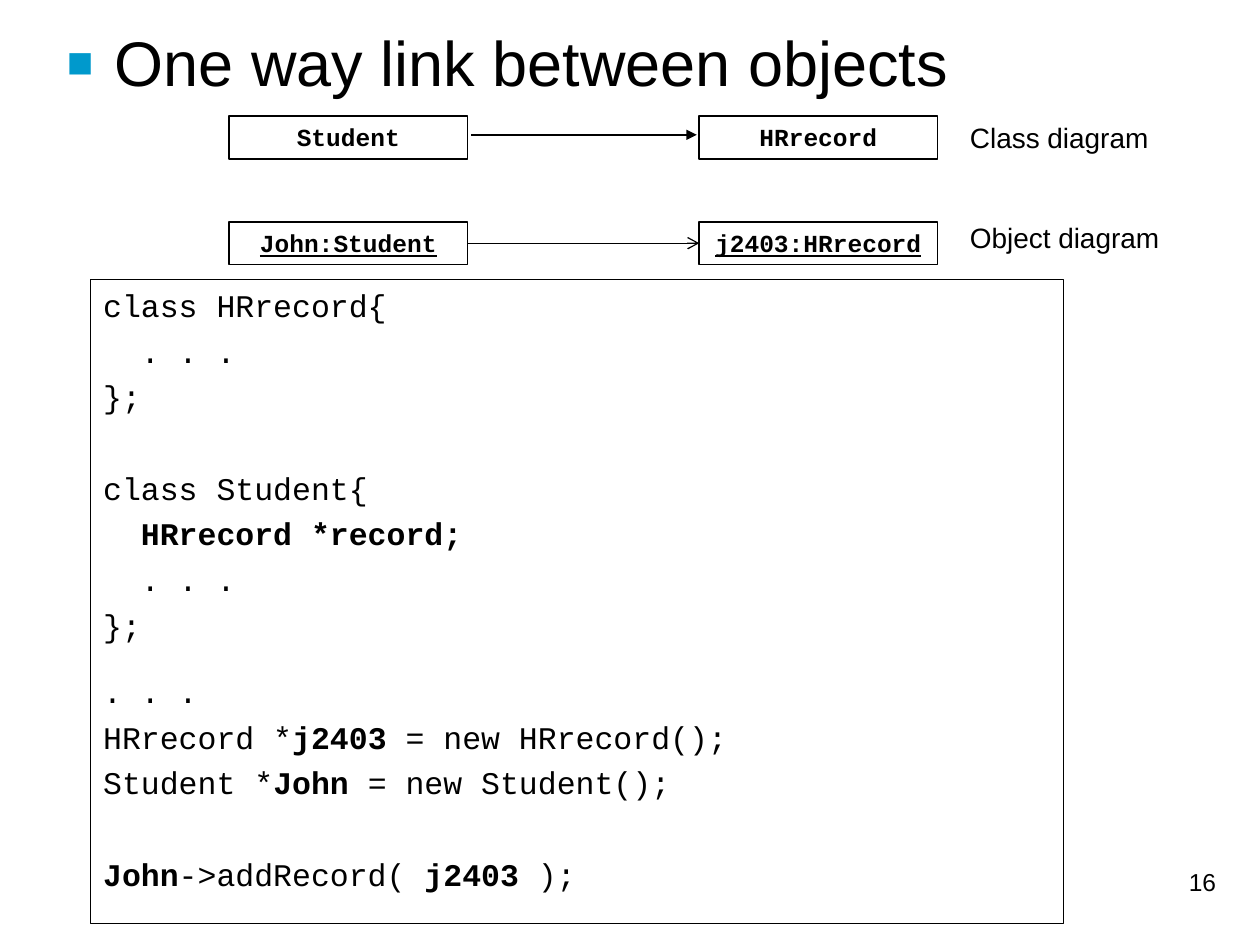
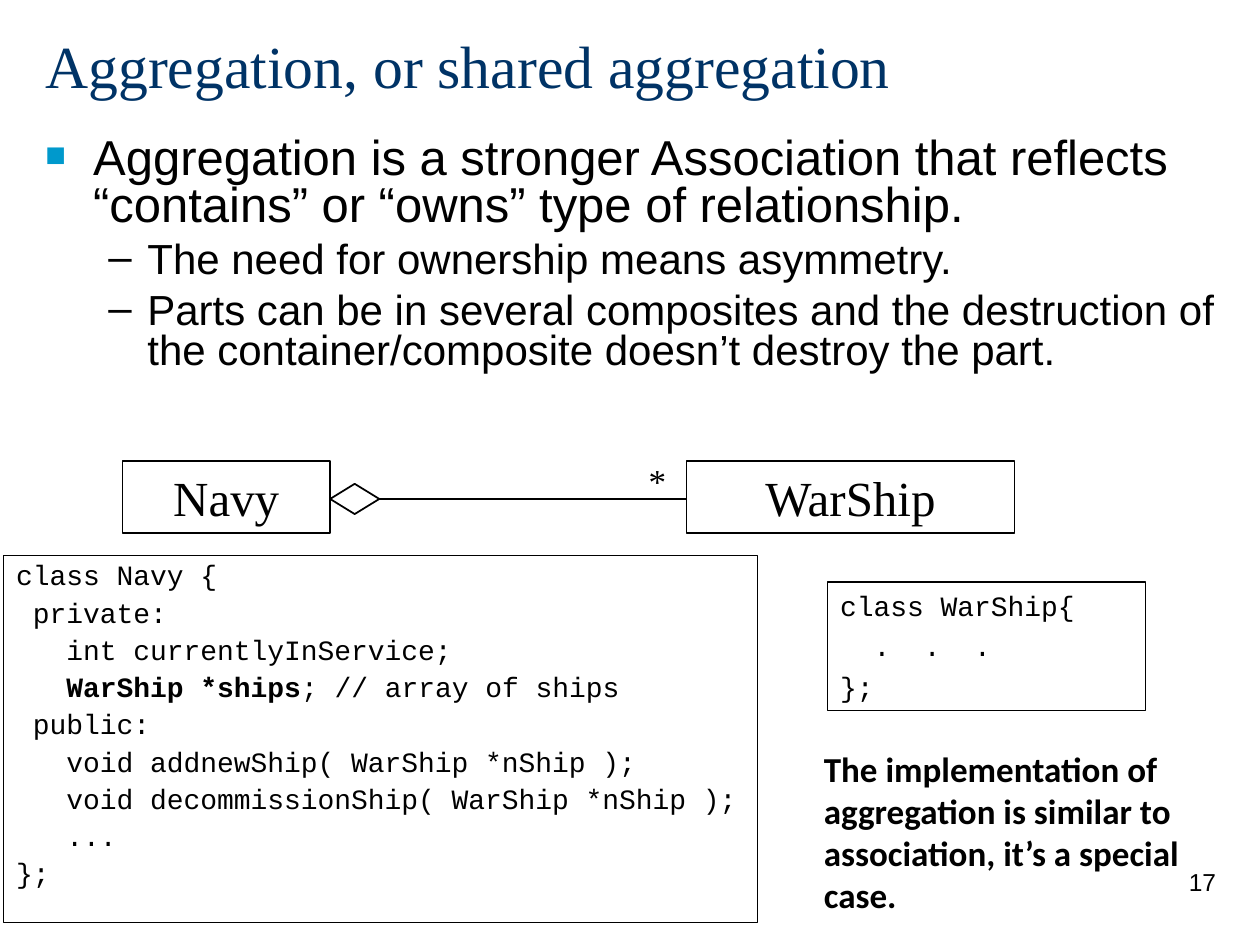
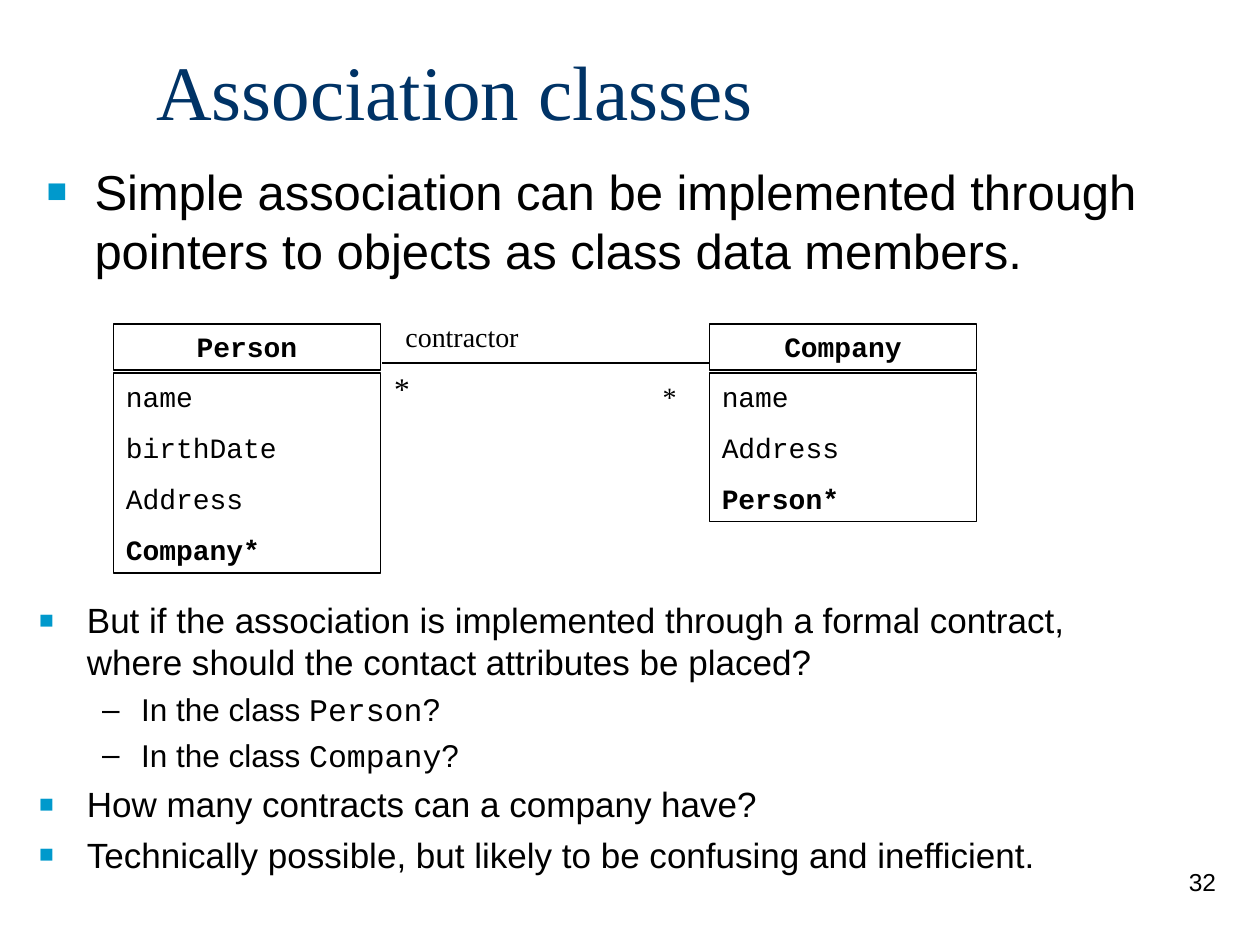
"""Build three slides on links, aggregation and association classes."""
from lxml import etree
from pptx import Presentation
from pptx.dml.color import RGBColor
from pptx.enum.shapes import MSO_CONNECTOR, MSO_SHAPE
from pptx.enum.text import MSO_ANCHOR, MSO_AUTO_SIZE, PP_ALIGN
from pptx.oxml.ns import qn
from pptx.util import Inches, Pt

BLACK, WHITE, NAVY, CYAN = "000000", "FFFFFF", "003366", "0099CC"
SANS, SERIF, MONO, NOTE = "Arial", "Times New Roman", "Courier New", "Calibri"
BULLETS = [
    {"char": "■", "color": CYAN, "percent": 70, "margin": 0.38, "indent": -0.38},
    {"char": "–", "color": BLACK, "percent": 100, "margin": 0.81, "indent": -0.31},
]
TITLE_ONLY_BODY, TWO_BODIES = 1, 3


def color(code):
    """Turn a hex string into a colour."""
    return RGBColor.from_string(code)


def cells(*counts):
    """Turn counts of grid cells, 100 columns by 75 rows, into lengths."""
    return [Inches(round(count / 10, 2)) for count in counts]


def apply(target, values):
    """Set every attribute named in a dict."""
    for name, value in values.items():
        setattr(target, name, value)


def add_element(parent, tag, **attributes):
    """Append a drawing element with attributes and return it."""
    element = etree.SubElement(parent, qn(tag))
    for name, value in attributes.items():
        element.set(name, str(value))
    return element


class Deck:
    """Hold the shared style and the slide being built."""

    def __init__(self):
        """Start an empty 4:3 presentation."""
        self.presentation = Presentation()
        self.presentation.slide_width, self.presentation.slide_height = cells(100, 75)
        self.slide = None

    def start(self, number, layout=TITLE_ONLY_BODY):
        """Open a slide and write its number."""
        layouts = self.presentation.slide_layouts
        self.slide = self.presentation.slides.add_slide(layouts[layout])
        self.label(str(number), (76.7, 68.3, 20.8, 5), 14, align=PP_ALIGN.RIGHT)

    def place(self, shape, at):
        """Move a shape to left, top, width and height in grid cells."""
        apply(shape, dict(zip(("left", "top", "width", "height"), cells(*at))))

    def frame(self, shape, anchor=MSO_ANCHOR.TOP, wrap=True):
        """Give a shape the shared text frame settings."""
        side, edge = cells(1, 0.5)
        apply(shape.text_frame, {
            "word_wrap": wrap, "auto_size": MSO_AUTO_SIZE.NONE,
            "vertical_anchor": anchor, "margin_left": side, "margin_right": side,
            "margin_top": edge, "margin_bottom": edge})
        return shape.text_frame

    def paragraph(self, text_frame, text, size, font, before=0, align=PP_ALIGN.LEFT,
                  spacing=None, ink=BLACK, marked=None, **extra):
        """Add a paragraph whose parts between bars take the marked format."""
        first = not text_frame.paragraphs[0].runs
        paragraph = text_frame.paragraphs[0] if first else text_frame.add_paragraph()
        apply(paragraph, {"alignment": align, "line_spacing": spacing,
                          "space_before": Pt(0 if first else before)})
        for index, part in enumerate(text.split("|")):
            if part:
                run = paragraph.add_run()
                run.text = part
                style = {"size": Pt(size), "name": font, **extra}
                apply(run.font, {**style, **(marked or {})} if index % 2 else style)
                run.font.color.rgb = color(ink)
        return paragraph

    def title(self, text, at, size, spacing=None):
        """Fill the title placeholder."""
        shape = self.slide.shapes.title
        self.place(shape, at)
        self.paragraph(self.frame(shape, MSO_ANCHOR.MIDDLE), text, size, SERIF,
                       spacing=spacing, ink=NAVY)

    def bullets(self, items, at, sizes, spacing=None, holder=1):
        """Fill a body placeholder with (level, text) items."""
        shape = self.slide.placeholders[holder]
        self.place(shape, at)
        text_frame = self.frame(shape)
        for level, text in items:
            size, bullet = sizes[level], BULLETS[level]
            paragraph = self.paragraph(text_frame, text, size, SANS, size / 4,
                                       spacing=spacing, marked={"name": MONO})
            paragraph.level = level
            properties = paragraph._p.get_or_add_pPr()
            properties.set("marL", str(Inches(bullet["margin"])))
            properties.set("indent", str(Inches(bullet["indent"])))
            add_element(add_element(properties, "a:buClr"), "a:srgbClr",
                        val=bullet["color"])
            add_element(properties, "a:buSzPct", val=bullet["percent"] * 1000)
            add_element(properties, "a:buFont", typeface=SANS)
            add_element(properties, "a:buChar", char=bullet["char"])

    def label(self, text, at, size, font=SANS, wrap=True, **style):
        """Add plain text."""
        shape = self.slide.shapes.add_textbox(*cells(*at))
        self.paragraph(self.frame(shape, wrap=wrap), text, size, font, **style)

    def outline(self, at, width=1, fill=None, preset=MSO_SHAPE.RECTANGLE):
        """Add an outlined shape."""
        shape = self.slide.shapes.add_shape(preset, *cells(*at))
        shape.shadow.inherit = False
        if fill:
            shape.fill.solid()
            shape.fill.fore_color.rgb = color(fill)
        else:
            shape.fill.background()
        shape.line.color.rgb = color(BLACK)
        shape.line.width = Pt(width)
        return shape

    def box(self, text, at, size=14, font=MONO, width=1, **style):
        """Add a named class or object box."""
        style = {"align": PP_ALIGN.CENTER, **style}
        self.paragraph(self.frame(self.outline(at, width)), text, size, font, **style)

    def code(self, text, at, size, spacing=None, gaps=None, before=None, **look):
        """Add a box of code, with gaps in points before chosen lines."""
        text_frame = self.frame(self.outline(at, **look))
        before = before or size / 4
        for index, line in enumerate(text.split("\n")):
            self.paragraph(text_frame, line, size, MONO, (gaps or {}).get(index, before),
                           spacing=spacing, marked={"bold": True})

    def class_box(self, name, members, left, top, height):
        """Add a class name above its members."""
        self.box(name, (left, top, 21.2, 3.7), 16, bold=True)
        self.code(members, (left, top + 3.9, 21.2, height), 16, before=10)

    def link(self, start, end, width=0.75, head=None):
        """Add a line with an optional arrowhead."""
        connector = self.slide.shapes.add_connector(
            MSO_CONNECTOR.STRAIGHT, *cells(*start, *end))
        connector.line.color.rgb = color(BLACK)
        connector.line.width = Pt(width)
        if head:
            add_element(connector.line._get_or_add_ln(), "a:tailEnd", type=head)
        add_element(connector._element.spPr, "a:effectLst")


LINK_CODE = """class HRrecord{
  . . .
};
class Student{
  |HRrecord *record;|
  . . .
};
. . .
HRrecord *|j2403| = new HRrecord();
Student *|John| = new Student();
|John|->addRecord( |j2403| );"""

NAVY_CODE = """class Navy {
 private:
   int currentlyInService;
   |WarShip *ships|; // array of ships
 public:
   void addnewShip( WarShip *nShip );
   void decommissionShip( WarShip *nShip );
   ...
};"""

WARSHIP_CODE = """class WarShip{
  .  .  .
};"""


def one_way_link(deck):
    """Build the slide on one way links."""
    deck.start(16)
    title = deck.slide.shapes.title._element
    title.getparent().remove(title)
    deck.bullets([(0, "One way link between objects")], (4.3, 1.4, 92.1, 19.7), [36])
    deck.code(LINK_CODE, (7.2, 22.2, 77.2, 51.1), 18, gaps={3: 30.6, 7: 16.3, 10: 30.6},
              fill=WHITE, width=0.75)
    rows = [("Student", "HRrecord", 9.2, False), ("John:Student", "j2403:HRrecord", 17.6, True)]
    for source, target, top, underline in rows:
        for name, left in ((source, 18.2), (target, 55.5)):
            deck.box(name, (left, top, 18.9, 3.4), bold=True, underline=underline)
    deck.link((37.4, 10.7), (55.3, 10.7), 1, "triangle")
    deck.link((37.1, 19.3), (55.5, 19.3), head="arrow")
    for text, top in (("Class diagram", 9.1), ("Object diagram", 17)):
        deck.label(text, (76, top, 17.3, 3.7), 16)


def aggregation(deck):
    """Build the slide on shared aggregation."""
    deck.start(17)
    deck.title("Aggregation, or shared aggregation", (2.6, 2.2, 93.1, 6.9), 34.1, 0.8)
    deck.bullets([
        (0, "Aggregation is a stronger Association that reflects “contains” or “owns” "
            "type of relationship."),
        (1, "The need for ownership means asymmetry."),
        (1, "Parts can be in several composites and the destruction of the "
            "container/composite doesn’t destroy the part."),
    ], (2.6, 10.4, 95.1, 21.7), [28, 24], 0.8)
    deck.code(NAVY_CODE, (0.3, 44.1, 59.8, 29.1), 16, 0.9, fill=WHITE, width=0.75)
    deck.code(WARSHIP_CODE, (65.7, 46.2, 25.2, 10.2), 16, fill=WHITE, width=0.75)
    for name, left, width in (("Navy", 9.7, 16.5), ("WarShip", 54.5, 26)):
        deck.box(name, (left, 36.6, width, 5.7), 28, SERIF, 0.75)
    deck.outline((26.2, 38.4, 3.9, 2.4), preset=MSO_SHAPE.DIAMOND)
    deck.link((30.1, 39.6), (54.5, 39.6))
    deck.label("*", (50.5, 36, 3.4, 4.4), 20, SERIF, wrap=False)
    deck.label("The implementation of aggregation is similar to association, "
               "it’s a special case.", (64.4, 58.8, 33.1, 14.4), 20, NOTE, bold=True)


def association_classes(deck):
    """Build the slide on association classes."""
    deck.start(32, TWO_BODIES)
    deck.title("Association classes", (11.4, 2.8, 85, 8.7), 44)
    deck.bullets([(0, "Simple association can be implemented through pointers to objects "
                      "as class data members.")], (2.7, 12.3, 95.1, 11), [28])
    deck.class_box("Person", "name\nbirthDate\nAddress\n|Company*|", 9, 25.7, 15.9)
    deck.class_box("Company", "name\nAddress\n|Person*|", 56.3, 25.7, 11.8)
    deck.link((30.3, 28.8), (56.3, 28.8))
    for text, at, size in (("*", (30.3, 28.8, 3.2, 4), 18),
                           ("*", (51.6, 29.6, 3.1, 3.7), 16),
                           ("contractor", (31.2, 24.9, 11, 3.7), 16)):
        deck.label(text, at, size, SERIF, wrap=False)
    deck.bullets([
        (0, "But if the association is implemented through a formal contract, where "
            "should the contact attributes be placed?"),
        (1, "In the class |Person|?"),
        (1, "In the class |Company|?"),
        (0, "How many contracts can a company have?"),
        (0, "Technically possible, but likely to be confusing and inefficient."),
    ], (2.1, 47, 89.7, 23.5), [20, 18], holder=2)


def main():
    """Build and save the presentation."""
    deck = Deck()
    for build in (one_way_link, aggregation, association_classes):
        build(deck)
    deck.presentation.save("out.pptx")


if __name__ == "__main__":
    main()
